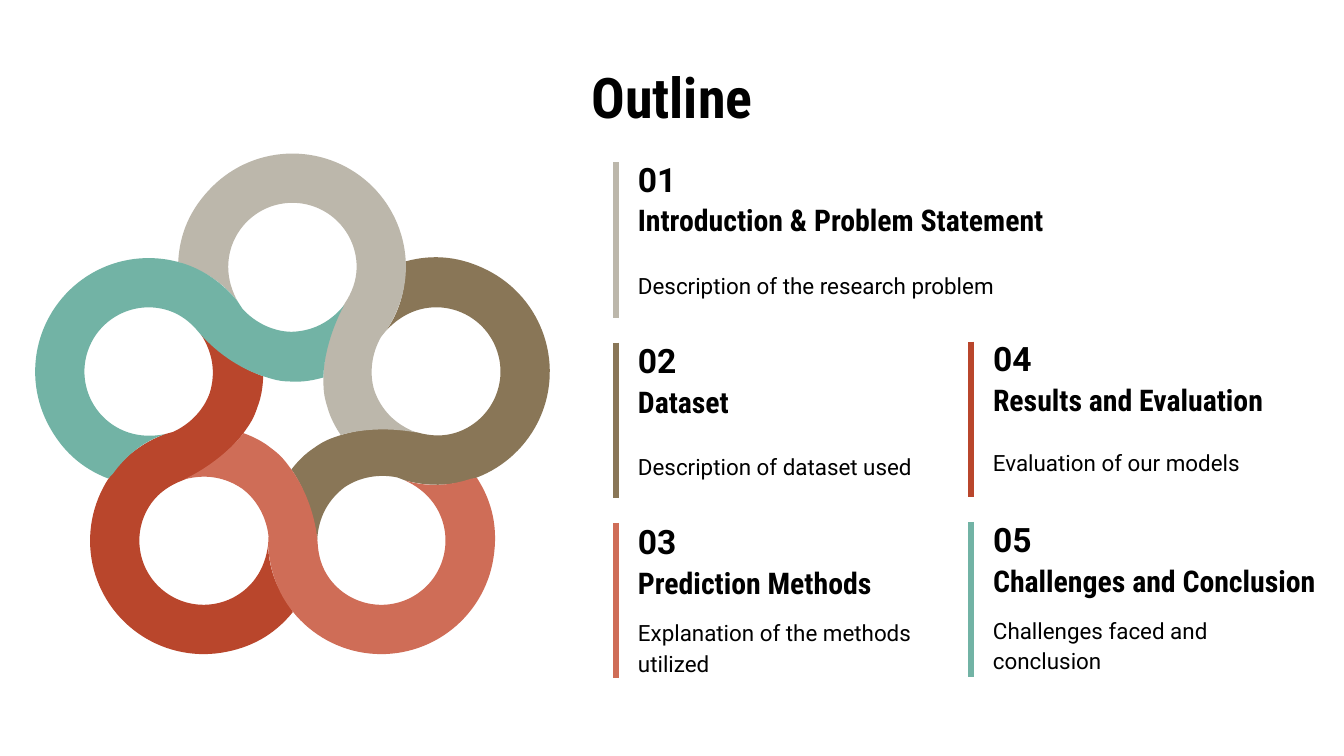
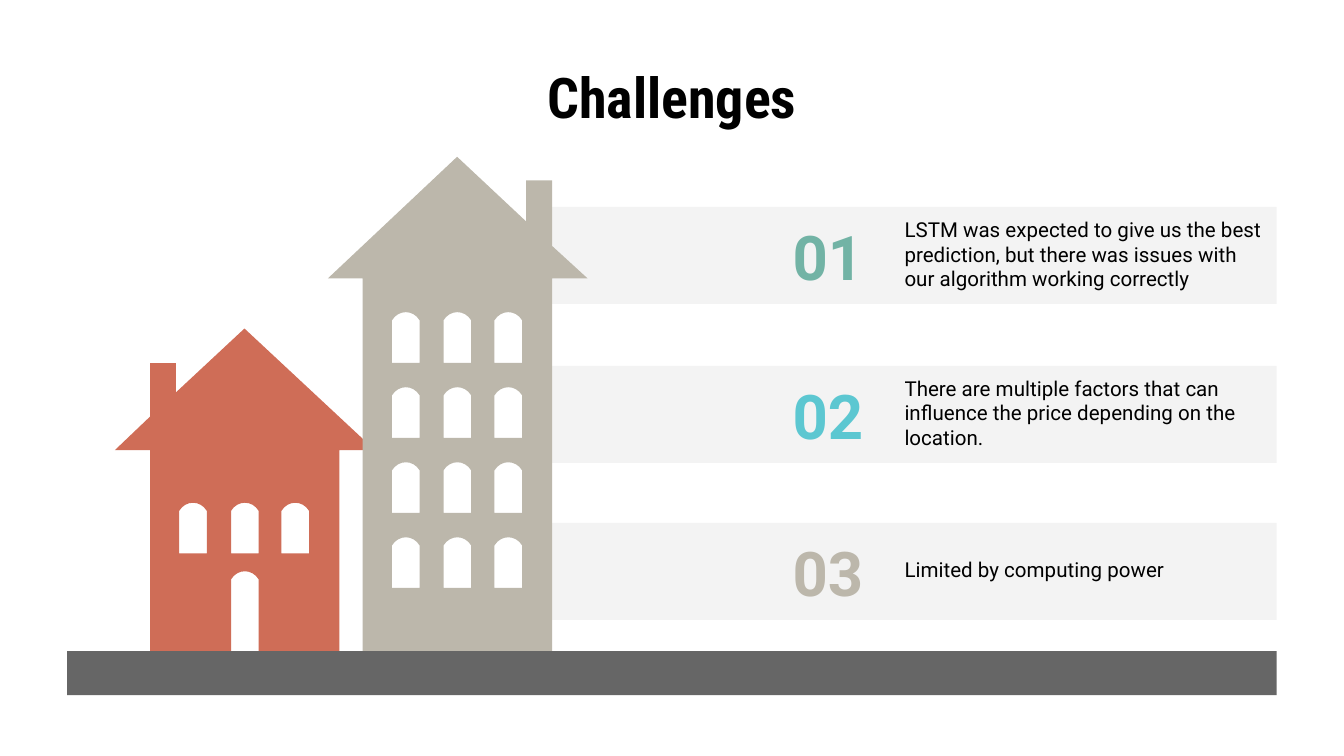
from dataclasses import dataclass
from math import cos, radians, sin

from lxml.etree import SubElement
from pptx import Presentation
from pptx.dml.color import RGBColor
from pptx.enum.shapes import MSO_CONNECTOR, MSO_SHAPE
from pptx.enum.text import MSO_ANCHOR, MSO_AUTO_SIZE, PP_ALIGN
from pptx.oxml.ns import qn
from pptx.util import Pt

Point = tuple[float, float]
Segment = tuple[Point, ...]  # one point: line; three points: cubic curve

BLACK, GROUND, BAND = "000000", "666666", "F3F3F3"
STONE, BROWN, CORAL, RED, TEAL, CYAN = (
    "BCB7AB", "897657", "CF6D57", "B9462C", "72B3A5", "5CC7D1")
BODY_FONT, HEADING_FONT = "Roboto", "Roboto Condensed"
TITLE_ONLY = 5

# One link of the knot, relative to the knot's centre.
KNOT_CENTRE = (156.7, 224.1)
LINK_START = (-61.2, -83.9)
LINK_SEGMENTS: tuple[Segment, ...] = (
    ((-58.3, -82.4),),
    ((-46.8, -78.8), (-36.7, -72.4), (-29.2, -62.3)),
    ((-32.4, -68), (-34.4, -74.5), (-34.4, -81)),
    ((-34.4, -100), (-19, -115.4), (0, -115.4)),
    ((19, -115.4), (34.4, -100), (34.4, -81)),
    ((34.4, -74), (32, -67.5), (28.1, -61.6)),
    ((19.4, -47.2), (16.6, -32), (16.6, -22)),
    ((16.6, -16), (16.6, -12.6), (18.7, -6.1)),
    ((20.2, -0.4), (23, 4.7), (25.9, 9)),
    ((35.3, 6.1), (50.4, 4.7), (66.2, 7.6)),
    ((54.7, 3.2), (47.5, -4.7), (43.9, -14.8)),
    ((41, -24.1), (42.5, -34.9), (47.5, -43.6)),
    ((50.4, -47.2),),
    ((56.9, -57.2), (60.8, -68.8), (60.8, -81)),
    ((60.8, -97.1), (54.4, -112.6), (43, -124)),
    ((31.6, -135.4), (16.1, -141.8), (0, -141.8)),
    ((-16.1, -141.8), (-31.6, -135.4), (-43, -124)),
    ((-54.4, -112.6), (-60.4, -99.4), LINK_START),
)
LINK_ANGLES = ((72, BROWN), (216, RED), (0, STONE), (288, TEAL), (144, CORAL))


@dataclass(frozen=True)
class Contour:
    start: Point
    segments: tuple[Segment, ...]


@dataclass(frozen=True)
class Topic:
    number: str
    heading: str
    description: str
    color: str
    column: int
    row: int
    width: float
    heading_width: float
    spacing: float = 1.15


@dataclass(frozen=True)
class Challenge:
    number: str
    text: str
    color: str
    top: float


@dataclass(frozen=True)
class House:
    color: str
    outline: tuple[Point, ...]
    window_columns: tuple[float, ...]
    window_rows: tuple[float, ...]
    doors: tuple[Point, ...] = ()


COLUMN_LEFTS = (334.7, 524.9)
COLUMN_DROPS = (0, -1.1)
FIRST_TOPIC, TOPIC_STEP = 84.6, 97.1
FIRST_BAR, BAR_STEP = 87, 96.6
TOPICS = (
    Topic("01", "Introduction & Problem Statement",
          "Description of the research problem", STONE, 0, 0, 212, 238),
    Topic("02", "Dataset", "Description of dataset used", BROWN, 0, 1, 179, 156),
    Topic("03", "Prediction Methods", "Explanation of the methods utilized",
          CORAL, 0, 2, 179, 156),
    Topic("04", "Results and Evaluation", "Evaluation of our models",
          RED, 1, 1, 172, 159, 1),
    Topic("05", "Challenges and Conclusion", "Challenges faced and conclusion",
          TEAL, 1, 2, 133, 190),
)

CHALLENGES = (
    Challenge("01", "LSTM was expected to give us the best prediction, but there "
              "was issues with our algorithm working correctly", TEAL, 110.9),
    Challenge("02", "There are multiple factors that can influence the price "
              "depending on the location.", CYAN, 196),
    Challenge("03", "Limited by computing power", STONE, 280.1),
)

WINDOW_WIDTH, WINDOW_HEIGHT, DOOR_HEIGHT = 14.8, 22.8, 42.4
HOUSES = (
    House(CORAL,
          ((200.9, 241.2), (181.9, 241.2), (181.9, 352.8), (80.4, 352.8),
           (80.4, 241.2), (61.5, 241.2), (80.4, 223.2), (80.4, 194.5),
           (94.3, 194.5), (94.3, 210.2), (131, 176)),
          (96, 123.8, 150.8), (273.7,), ((123.8, 310.4),)),
    House(STONE,
          ((314.8, 149.2), (295.8, 149.2), (295.8, 352.8), (194.2, 352.8),
           (194.2, 149.2), (175.6, 149.2), (244.9, 84), (281.8, 118.6),
           (281.8, 96.7), (295.8, 96.7), (295.8, 131.8)),
          (210, 237.6, 264.9), tuple(171.6 + 40.2 * row for row in range(4))),
)


def rgb(color: str) -> RGBColor:
    return RGBColor.from_string(color)


def style_shape(shape, color: str) -> None:
    shape.shadow.inherit = False
    shape.fill.solid()
    shape.fill.fore_color.rgb = rgb(color)
    shape.line.fill.background()


def write_text(shape, text: str, *, size: float, font: str = BODY_FONT,
               color: str = BLACK, bold: bool = False,
               align: PP_ALIGN = PP_ALIGN.LEFT, spacing: float = 1) -> None:
    frame = shape.text_frame
    frame.word_wrap = True
    frame.auto_size = MSO_AUTO_SIZE.NONE
    frame.vertical_anchor = MSO_ANCHOR.MIDDLE
    frame.margin_left = frame.margin_right = Pt(7.2)
    frame.margin_top = frame.margin_bottom = Pt(7.2)
    paragraph = frame.paragraphs[0]
    paragraph.alignment = align
    paragraph.line_spacing = spacing
    run = paragraph.add_run()
    run.text = text
    run.font.size, run.font.name, run.font.bold = Pt(size), font, bold
    run.font.color.rgb = rgb(color)


def add_text(slide, left: float, top: float, width: float, height: float,
             text: str, **text_format) -> None:
    box = slide.shapes.add_textbox(Pt(left), Pt(top), Pt(width), Pt(height))
    write_text(box, text, **text_format)


def add_rectangle(slide, left: float, top: float, width: float, height: float,
                  color: str) -> None:
    shape = slide.shapes.add_shape(
        MSO_SHAPE.RECTANGLE, Pt(left), Pt(top), Pt(width), Pt(height))
    style_shape(shape, color)


def add_vertical_line(slide, x: float, top: float, height: float, color: str) -> None:
    line = slide.shapes.add_connector(
        MSO_CONNECTOR.STRAIGHT, Pt(x), Pt(top), Pt(x), Pt(top + height))
    line.line.color.rgb = rgb(color)
    line.line.width = Pt(3)
    SubElement(line._element.spPr, qn("a:effectLst"))


def bend_segments(shape, segments: list[Segment]) -> None:
    """Turn the line steps of each three-point segment into one cubic curve."""
    steps = iter(list(shape._element.iter(qn("a:lnTo"))))
    for segment in segments:
        first, *others = [next(steps) for _ in segment]
        for other in others:
            first.append(other[0])
            other.getparent().remove(other)
        if others:
            first.tag = qn("a:cubicBezTo")


def add_outline(slide, contours: list[Contour], color: str) -> None:
    """Draw closed contours as one shape; inner contours become holes."""
    builder = None
    for contour in contours:
        start_x, start_y = Pt(contour.start[0]), Pt(contour.start[1])
        if builder is None:
            builder = slide.shapes.build_freeform(start_x, start_y, scale=1.0)
        else:
            builder.move_to(start_x, start_y)
        builder.add_line_segments(
            [(Pt(x), Pt(y)) for segment in contour.segments for x, y in segment],
            close=True)
    shape = builder.convert_to_shape()
    bend_segments(shape, [segment for contour in contours
                          for segment in contour.segments])
    style_shape(shape, color)


def arched_opening(left: float, top: float, height: float) -> Contour:
    right, bottom = left + WINDOW_WIDTH, top + height
    arch = ((right - 3.5, top - 5.8), (left + 3.5, top - 5.8), (left, top))
    return Contour((right, top), (arch, ((left, bottom),), ((right, bottom),)))


def add_house(slide, house: House) -> None:
    walls = Contour(house.outline[0], tuple((point,) for point in house.outline[1:]))
    windows = [arched_opening(left, top, WINDOW_HEIGHT)
               for left in house.window_columns for top in house.window_rows]
    doors = [arched_opening(left, top, DOOR_HEIGHT) for left, top in house.doors]
    add_outline(slide, [walls, *windows, *doors], house.color)


def knot_point(point: Point, degrees: float) -> Point:
    """Turn a link point clockwise and place it around the knot's centre."""
    x, y = point
    cosine, sine = cos(radians(degrees)), sin(radians(degrees))
    return (KNOT_CENTRE[0] + x * cosine - y * sine,
            KNOT_CENTRE[1] + x * sine + y * cosine)


def add_knot(slide) -> None:
    for degrees, color in LINK_ANGLES:
        segments = tuple(tuple(knot_point(point, degrees) for point in segment)
                         for segment in LINK_SEGMENTS)
        link = Contour(knot_point(LINK_START, degrees), segments)
        add_outline(slide, [link], color)


def add_topic(slide, topic: Topic) -> None:
    left, drop = COLUMN_LEFTS[topic.column], COLUMN_DROPS[topic.column]
    top = FIRST_TOPIC + topic.row * TOPIC_STEP + drop
    bar_top = FIRST_BAR + topic.row * BAR_STEP + drop / 2
    add_vertical_line(slide, left - 4.8, bar_top, 83.2, topic.color)
    add_text(slide, left, top, 48, 22.5, topic.number, size=18, bold=True)
    add_text(slide, left, top + 22, topic.heading_width, 22.5, topic.heading,
             size=16, font=HEADING_FONT, bold=True)
    add_text(slide, left, top + 44.4, topic.width, 45.4, topic.description,
             size=12, spacing=topic.spacing)


def add_titled_slide(presentation, title: str):
    slide = presentation.slides.add_slide(presentation.slide_layouts[TITLE_ONLY])
    shape = slide.shapes.title
    shape.left, shape.top, shape.width, shape.height = Pt(36), Pt(32.4), Pt(648), Pt(38.2)
    write_text(shape, title, size=30, font=HEADING_FONT, bold=True,
               align=PP_ALIGN.CENTER)
    return slide


def build_outline_slide(presentation) -> None:
    slide = add_titled_slide(presentation, "Outline")
    add_knot(slide)
    for topic in TOPICS:
        add_topic(slide, topic)


def build_challenges_slide(presentation) -> None:
    slide = add_titled_slide(presentation, "Challenges")
    for challenge in CHALLENGES:
        top = challenge.top
        add_rectangle(slide, 290, top, 394, 52, BAND)
        add_text(slide, 414, top + 3.4, 59, 45.4, challenge.number, size=33,
                 color=challenge.color, bold=True, align=PP_ALIGN.CENTER)
        add_text(slide, 477.5, top + 4.6, 206.6, 41, challenge.text, size=11)
    for house in HOUSES:
        add_house(slide, house)
    add_rectangle(slide, 36, 348.9, 648, 23.5, GROUND)


def main() -> None:
    presentation = Presentation()
    presentation.slide_width, presentation.slide_height = Pt(720), Pt(405)
    build_outline_slide(presentation)
    build_challenges_slide(presentation)
    presentation.save("out.pptx")


if __name__ == "__main__":
    main()
